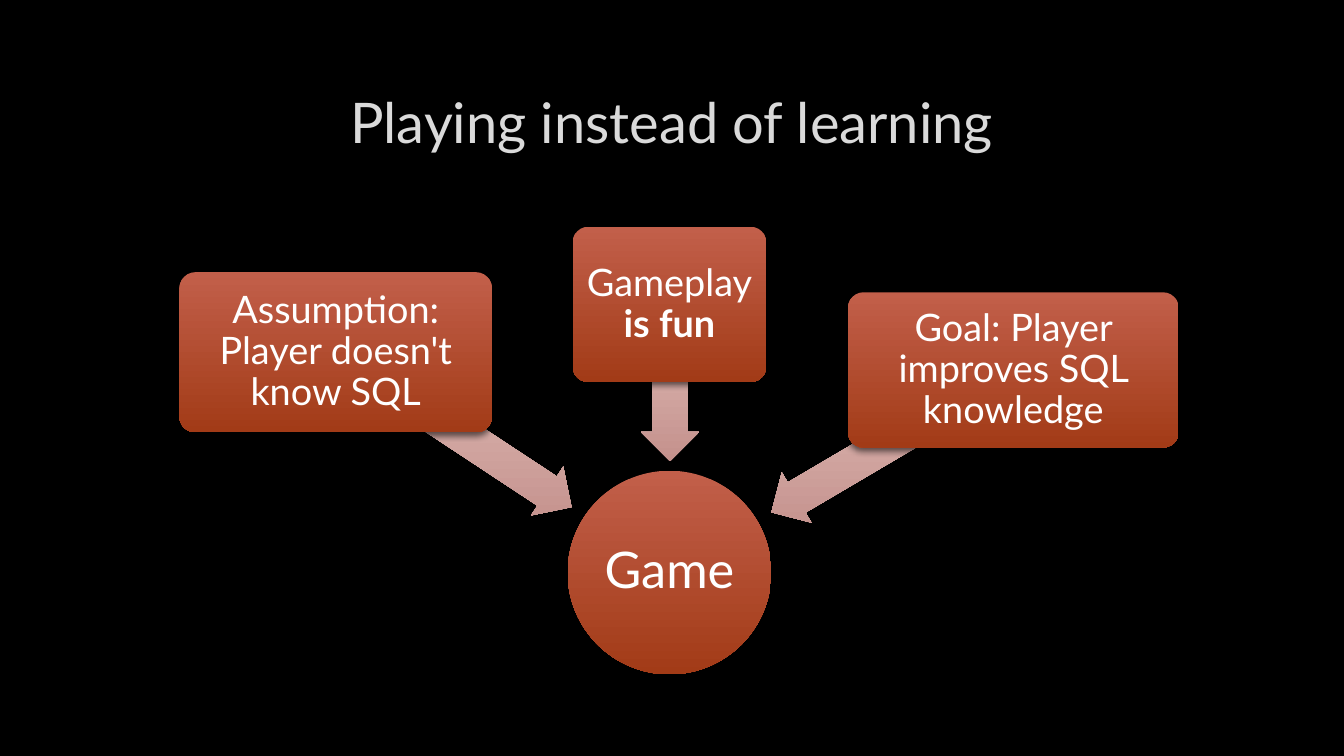
from lxml.etree import SubElement
from pptx import Presentation
from pptx.dml.color import RGBColor
from pptx.enum.shapes import MSO_SHAPE
from pptx.enum.text import MSO_ANCHOR, PP_ALIGN
from pptx.oxml import parse_xml
from pptx.oxml.ns import qn
from pptx.util import Inches, Pt

FONT = "Lato"
RUST = ("C25F4A", "A23B17")
ROSE = ("E1BFBB", "C4918C")
NS = 'xmlns:a="http://schemas.openxmlformats.org/drawingml/2006/main"'


def tint(color, code):
    color.rgb = RGBColor.from_string(code)


def shade(shape, pair):
    shape.line.fill.background()
    shape.fill.gradient()
    shape.fill.gradient_angle = 270
    for stop, code, place in zip(shape.fill.gradient_stops, pair, (0, 1)):
        tint(stop.color, code)
        stop.position = place
    props = shape.element.spPr
    props.find(qn("a:gradFill")).set("rotWithShape", "0")
    shape.shadow.inherit = False
    glow = SubElement(
        props.find(qn("a:effectLst")), qn("a:outerShdw"),
        blurRad=str(Pt(5)), dist=str(Pt(2)), dir="5400000", rotWithShape="0",
    )
    black = SubElement(glow, qn("a:srgbClr"), val="000000")
    SubElement(black, qn("a:alpha"), val="60000")


def add_form(slide, kind, area, pair, adjust=()):
    shape = slide.shapes.add_shape(kind, *map(Inches, area))
    for index, value in enumerate(adjust):
        shape.adjustments[index] = value
    shade(shape, pair)
    return shape


def write(shape, text, size, code, inset, bold=""):
    frame = shape.text_frame
    frame.word_wrap = True
    frame.vertical_anchor = MSO_ANCHOR.MIDDLE
    frame.margin_left = frame.margin_right = Inches(inset)
    frame.margin_top = frame.margin_bottom = Inches(inset)
    para = frame.paragraphs[0]
    para.text = text
    para.alignment = PP_ALIGN.CENTER
    if bold:
        run = para.add_run()
        run.text = bold
        run.font.bold = True
    for run in para.runs:
        run.font.name = FONT
        run.font.size = Pt(size)
        tint(run.font.color, code)
    return para


def add_title(slide, text):
    box = slide.shapes.add_textbox(*map(Inches, (1, 0.67, 11.32, 1.06)))
    para = write(box, text, 40, "DADADA", 0.05)
    edge = parse_xml(
        f'<a:ln {NS} w="9525"><a:solidFill><a:srgbClr val="404040">'
        '<a:alpha val="10000"/></a:srgbClr></a:solidFill></a:ln>'
    )
    para.runs[0].font._element.insert(0, edge)


def add_goal(slide, text):
    ball = add_form(slide, MSO_SHAPE.OVAL, (5.63, 4.67, 2.02, 2.02), RUST)
    write(ball, text, 36, "FFFFFF", 0.03).line_spacing = 0.9


def add_arrow(slide, area, angle):
    arrow = add_form(slide, MSO_SHAPE.LEFT_ARROW, area, ROSE, (0.6, 0.5))
    arrow.rotation = angle


def add_card(slide, area, text, bold):
    card = add_form(slide, MSO_SHAPE.ROUNDED_RECTANGLE, area, RUST, (0.1,))
    write(card, text, 27, "FFFFFF", 0.06, bold).line_spacing = 0.9


def main():
    deck = Presentation()
    deck.slide_width, deck.slide_height = Inches(13.33), Inches(7.5)
    slide = deck.slides.add_slide(deck.slide_layouts[6])
    slide.background.fill.solid()
    tint(slide.background.fill.fore_color, "000000")
    add_title(slide, "Playing instead of learning")
    add_goal(slide, "Game")
    inputs = [
        ((3.1, 3.97, 2.8, 0.58), 213.4, (1.78, 2.7, 3.1, 1.59),
         "Assumption: Player doesn't know SQL", ""),
        ((5.87, 3.51, 1.55, 0.58), 270, (5.68, 2.25, 1.92, 1.54),
         "Gameplay", " is fun"),
        ((7.46, 4.09, 2.77, 0.58), 329.5, (8.41, 2.9, 3.28, 1.54),
         "Goal: Player improves SQL knowledge", ""),
    ]
    for arrow, angle, card, text, bold in inputs:
        add_arrow(slide, arrow, angle)
        add_card(slide, card, text, bold)
    deck.save("out.pptx")


if __name__ == "__main__":
    main()
